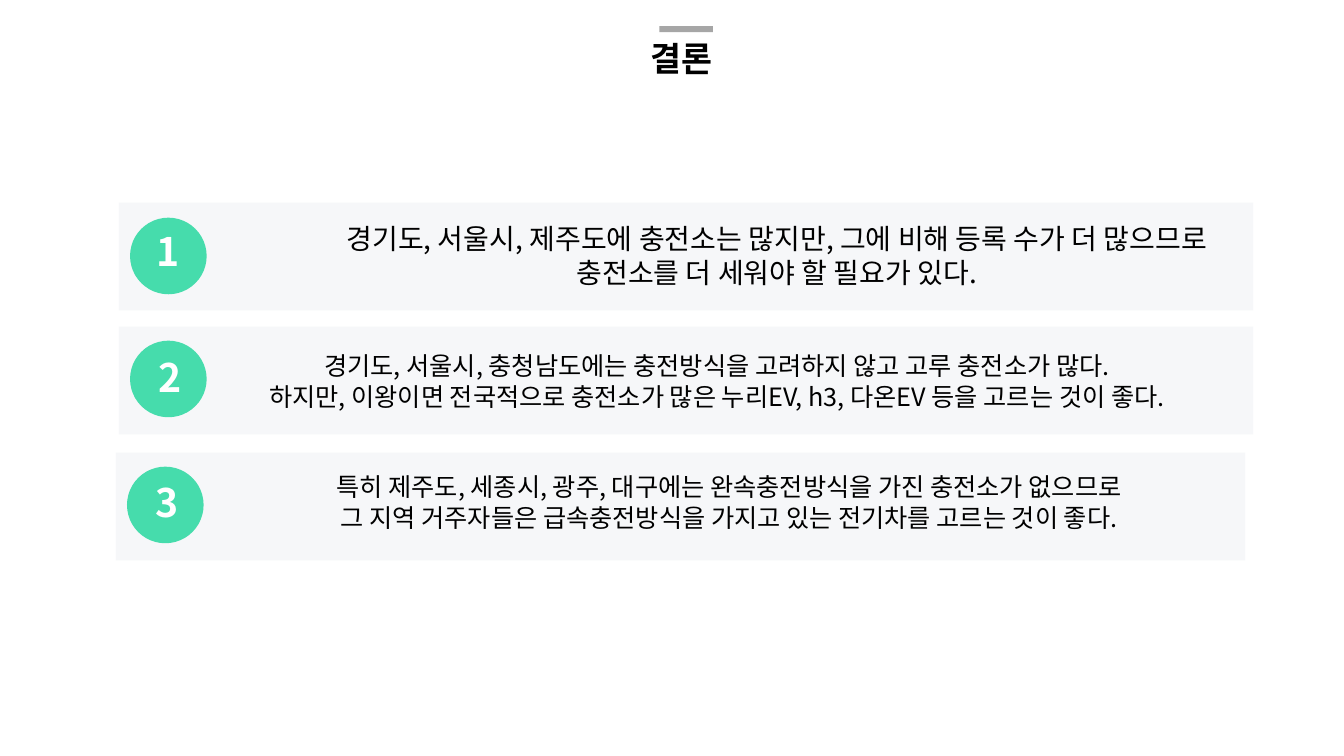
import pptx
import pptx.dml.color
import pptx.enum.shapes
import pptx.enum.text
import pptx.oxml
import pptx.oxml.ns
import pptx.util

Inches = pptx.util.Inches
Shapes = pptx.enum.shapes.MSO_SHAPE
Align = pptx.enum.text.PP_ALIGN


def color(value):
    return pptx.dml.color.RGBColor.from_string(value)


class ConclusionSlide:
    """Holds the style and the current slide, and draws its elements."""

    font = "Noto Sans CJK KR"
    black, white = "000000", "FFFFFF"
    band, accent, gray = "F6F7F9", "46DCAC", "A6A6A6"

    def __init__(self, presentation):
        self.slide = presentation.slides.add_slide(presentation.slide_layouts[5])

    def block(self, kind, left, top, width, height, fill):
        shape = self.slide.shapes.add_shape(
            kind, Inches(left), Inches(top), Inches(width), Inches(height))
        shape.shadow.inherit = False
        shape.fill.solid()
        shape.fill.fore_color.rgb = color(fill)
        shape.line.fill.background()

    def fill_text(self, shape, lines, size, fill, bold=False, align=Align.CENTER, wrap=True):
        frame = shape.text_frame
        frame.word_wrap = wrap
        frame.auto_size = pptx.enum.text.MSO_AUTO_SIZE.SHAPE_TO_FIT_TEXT
        frame.vertical_anchor = pptx.enum.text.MSO_ANCHOR.TOP
        for index, line in enumerate(lines):
            paragraph = frame.add_paragraph() if index else frame.paragraphs[0]
            paragraph.alignment = align
            run = paragraph.add_run()
            run.text = line
            run.font.name = self.font
            run.font.size = pptx.util.Pt(size)
            run.font.bold = bold
            run.font.color.rgb = color(fill)
            east_asian = pptx.oxml.parse_xml(
                f'<a:ea {pptx.oxml.ns.nsdecls("a")} typeface="{self.font}"/>')
            properties = run._r.get_or_add_rPr()
            properties.find(pptx.oxml.ns.qn("a:latin")).addnext(east_asian)

    def title(self, text, left, top, width, height):
        shape = self.slide.shapes.title
        shape.left, shape.top = Inches(left), Inches(top)
        shape.width, shape.height = Inches(width), Inches(height)
        self.fill_text(shape, [text], 24, self.black, bold=True)

    def text(self, lines, left, top, width, height, size, fill, **style):
        box = self.slide.shapes.add_textbox(
            Inches(left), Inches(top), Inches(width), Inches(height))
        self.fill_text(box, lines, size, fill, **style)

    def conclusion(self, number, band, circle_top, number_place, text_place, size, lines):
        left, top, width = band
        self.block(Shapes.RECTANGLE, left, top, width, 1.07, self.band)
        self.block(Shapes.OVAL, left + 0.11, circle_top, 0.76, 0.76, self.accent)
        self.text([str(number)], *number_place, 0.43, 0.57, 28, self.white,
                  bold=True, align=Align.LEFT, wrap=False)
        self.text(lines, *text_place, size, self.black)


CONCLUSIONS = [
    ((1.18, 2.01, 11.25), 2.16, (1.45, 2.21), (2.08, 2.15, 11.25, 0.77), 20,
     ["경기도, 서울시, 제주도에 충전소는 많지만, 그에 비해 등록 수가 더 많으므로",
      "충전소를 더 세워야 할 필요가 있다."]),
    ((1.18, 3.24, 11.25), 3.38, (1.47, 3.46), (1.87, 3.43, 10.48, 0.71), 18,
     ["경기도, 서울시, 충청남도에는 충전방식을 고려하지 않고 고루 충전소가 많다.",
      "하지만, 이왕이면 전국적으로 충전소가 많은 누리EV, h3, 다온EV 등을 고르는 것이 좋다."]),
    ((1.15, 4.49, 11.2), 4.63, (1.44, 4.7), (1.87, 4.63, 10.72, 0.71), 18,
     ["특히 제주도, 세종시, 광주, 대구에는 완속충전방식을 가진 충전소가 없으므로",
      "그 지역 거주자들은 급속충전방식을 가지고 있는 전기차를 고르는 것이 좋다."]),
]


def main():
    presentation = pptx.Presentation()
    presentation.slide_width = Inches(13.33)
    presentation.slide_height = Inches(7.5)
    page = ConclusionSlide(presentation)
    page.title("결론", 2.66, 0.33, 8.2, 0.5)
    page.block(Shapes.RECTANGLE, 6.54, 0.26, 0.53, 0.06, page.gray)
    for number, conclusion in enumerate(CONCLUSIONS, start=1):
        page.conclusion(number, *conclusion)
    presentation.save("out.pptx")


if __name__ == "__main__":
    main()
